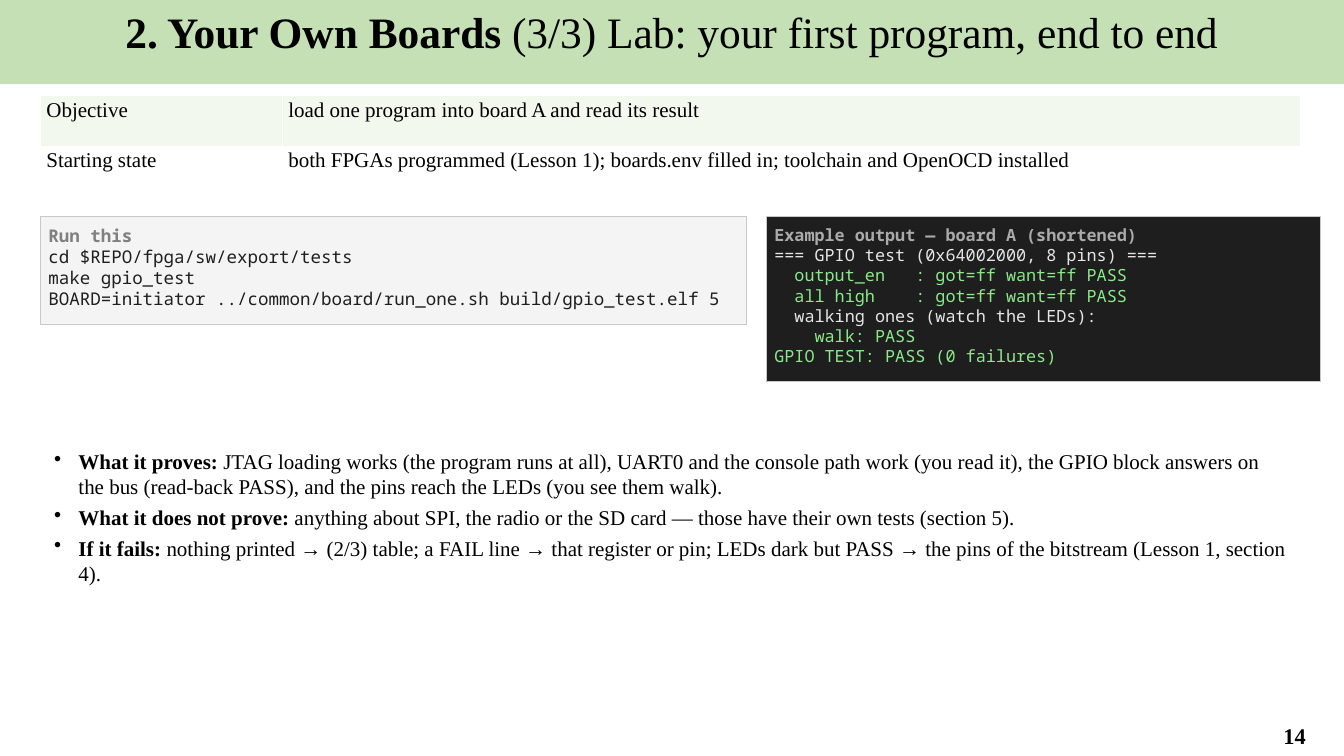
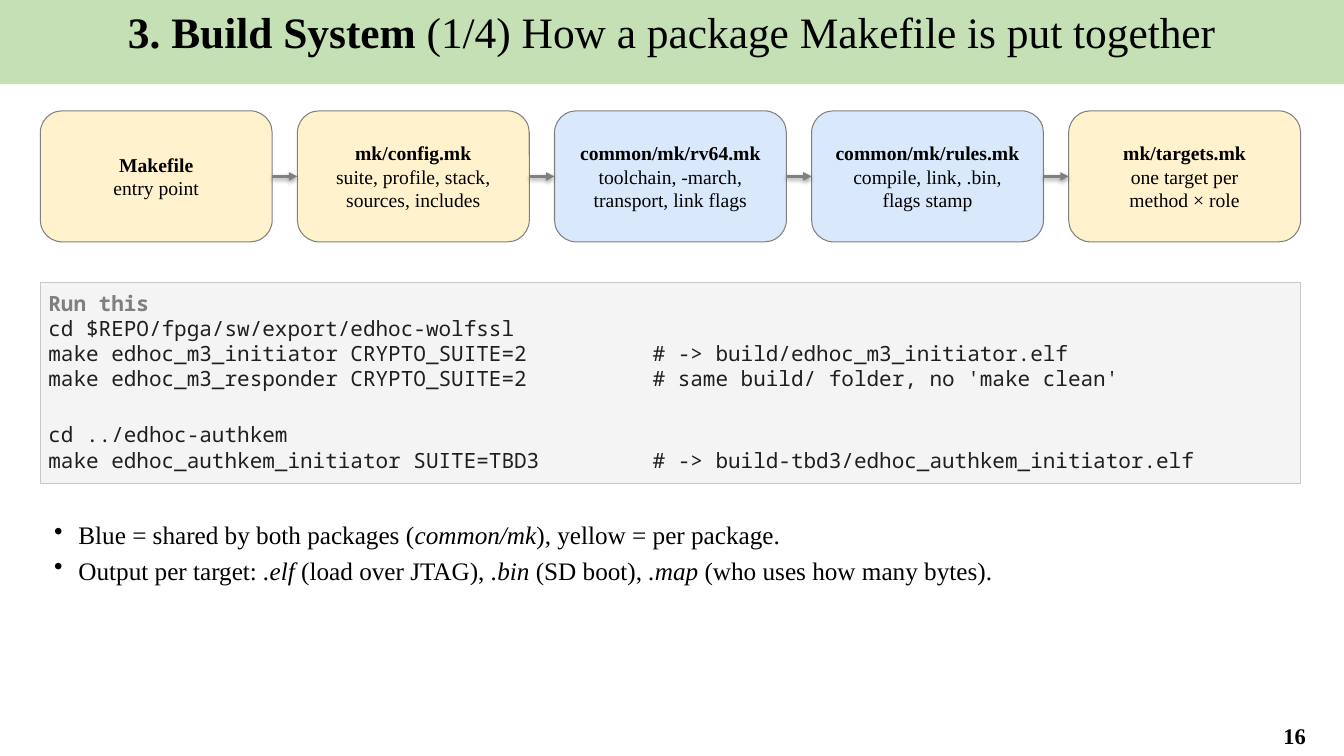
from itertools import pairwise

from lxml import etree
from pptx import Presentation
from pptx.dml.color import RGBColor
from pptx.enum.shapes import MSO_CONNECTOR as CONNECTOR, MSO_SHAPE as SHAPE
from pptx.enum.text import MSO_ANCHOR as ANCHOR, MSO_AUTO_SIZE as AUTO_SIZE, PP_ALIGN as ALIGN
from pptx.oxml.ns import qn
from pptx.util import Inches, Pt

BLACK = RGBColor(0x00, 0x00, 0x00)
WHITE = RGBColor(0xFF, 0xFF, 0xFF)
GREY = RGBColor(0x80, 0x80, 0x80)
BAND_GREEN = RGBColor(0xC5, 0xE0, 0xB4)
ROW_GREEN = RGBColor(0xF2, 0xF8, 0xEE)
PACKAGE_YELLOW = RGBColor(0xFF, 0xF2, 0xCC)
SHARED_BLUE = RGBColor(0xDA, 0xE8, 0xFC)
CODE_BORDER = RGBColor(0xC8, 0xC8, 0xC8)
CODE_PAPER = RGBColor(0xF4, 0xF4, 0xF4)
CODE_INK = RGBColor(0x1F, 0x1F, 0x1F)
TERMINAL = RGBColor(0x1E, 0x1E, 0x1E)
TERMINAL_HEAD = RGBColor(0xAA, 0xAA, 0xAA)
TERMINAL_INK = RGBColor(0xE6, 0xE6, 0xE6)
PASS_GREEN = RGBColor(0x8B, 0xE9, 0x8B)

SERIF, MONO = "Times New Roman", "Noto Sans Mono"
SLIDE_W, SLIDE_H = 13.33, 7.5
LEFT, CONTENT_W = 0.4, 12.5
BOLD, ITALIC = {"bold": True}, {"italic": True}


def inches(*lengths):
    return [Inches(length) for length in lengths]


def add_run(paragraph, text, size, color=BLACK, name=SERIF, **style):
    run = paragraph.add_run()
    run.text = text
    run.font.color.rgb = color
    values = {"size": Pt(size), "name": name, "bold": False, "italic": False} | style
    for attribute, value in values.items():
        setattr(run.font, attribute, value)


def paragraphs(frame, items):
    """Pair each item with a paragraph, using the frame's first one first."""
    for index, item in enumerate(items):
        yield frame.paragraphs[0] if index == 0 else frame.add_paragraph(), item


def set_frame(frame, anchor, margins, wrap=True):
    frame.word_wrap = wrap
    frame.vertical_anchor = anchor
    for side, margin in zip(("left", "top", "right", "bottom"), margins):
        setattr(frame, f"margin_{side}", Inches(margin))


def add_panel(slide, kind, box, fill, border):
    panel = slide.shapes.add_shape(kind, *inches(*box))
    panel.shadow.inherit = False
    panel.fill.solid()
    panel.fill.fore_color.rgb = fill
    panel.line.color.rgb = border
    panel.line.width = Pt(0.75)
    return panel


def add_titled_slide(deck, section, topic, number):
    slide = deck.slides.add_slide(deck.slide_layouts[5])
    title = slide.shapes.title
    title.left, title.top, title.width, title.height = inches(-0.01, 0, SLIDE_W + 0.01, 0.71)
    title.fill.solid()
    title.fill.fore_color.rgb = BAND_GREEN
    set_frame(title.text_frame, ANCHOR.TOP, (0.1, 0.05, 0.1, 0.05))
    title.text_frame.auto_size = AUTO_SIZE.SHAPE_TO_FIT_TEXT
    heading = title.text_frame.paragraphs[0]
    heading.alignment = ALIGN.CENTER
    add_run(heading, section + " ", 31, bold=True)
    add_run(heading, topic, 31)

    page = slide.shapes.add_textbox(*inches(12.35, 7.1, 0.98, 0.39)).text_frame
    set_frame(page, ANCHOR.MIDDLE, (0.1, 0.05, 0.1, 0.05))
    page.paragraphs[0].alignment = ALIGN.CENTER
    add_run(page.paragraphs[0], str(number), 16, bold=True)
    return slide


def add_facts_table(slide, box, label_width, facts):
    table = slide.shapes.add_table(len(facts), 2, *inches(*box)).table
    for column, width in zip(table.columns, (label_width, box[2] - label_width)):
        column.width = Inches(width)
    for row, fact in enumerate(facts):
        for column, text in enumerate(fact):
            cell = table.cell(row, column)
            cell.fill.solid()
            cell.fill.fore_color.rgb = WHITE if row % 2 else ROW_GREEN
            cell.margin_left = cell.margin_right = Inches(0.06)
            cell.margin_top = cell.margin_bottom = Inches(0.03)
            add_run(cell.text_frame.paragraphs[0], text, 15)


def add_code(slide, box, size, heading, lines, fill=CODE_PAPER, heading_color=GREY):
    """Place a listing; each line is (text, colour, points of space before)."""
    frame = add_panel(slide, SHAPE.RECTANGLE, box, fill, CODE_BORDER).text_frame
    set_frame(frame, ANCHOR.TOP, (0.08,) * 4, wrap=False)
    all_lines = [(heading, heading_color, 0), *lines]
    for index, (paragraph, (text, color, gap)) in enumerate(paragraphs(frame, all_lines)):
        paragraph.alignment = ALIGN.LEFT
        if gap:
            paragraph.space_before = Pt(gap)
        add_run(paragraph, text, size, color, MONO, bold=index == 0)


def add_bullets(slide, box, size, items):
    """Place bullets; each item is a list of (text, style) runs."""
    frame = slide.shapes.add_textbox(*inches(*box)).text_frame
    frame.word_wrap = True
    frame.auto_size = AUTO_SIZE.SHAPE_TO_FIT_TEXT
    for paragraph, runs in paragraphs(frame, items):
        properties = paragraph._p.get_or_add_pPr()
        properties.set("marL", str(Inches(0.28)))
        properties.set("indent", str(Inches(-0.24)))
        etree.SubElement(properties, qn("a:buChar"), char="•")
        paragraph.space_after = Pt(4)
        for text, style in runs:
            add_run(paragraph, text, size, **style)


def add_flow(slide, box, gap, steps):
    """Place equal rounded steps across the box, joined by arrows."""
    left, top, width, height = box
    step_width = (width - gap * (len(steps) - 1)) / len(steps)
    placed = []
    for index, (fill, *lines) in enumerate(steps):
        step_box = (left + index * (step_width + gap), top, step_width, height)
        step = add_panel(slide, SHAPE.ROUNDED_RECTANGLE, step_box, fill, GREY)
        set_frame(step.text_frame, ANCHOR.MIDDLE, (0.04,) * 4)
        for row, (paragraph, text) in enumerate(paragraphs(step.text_frame, lines)):
            paragraph.alignment = ALIGN.CENTER
            add_run(paragraph, text, 14, bold=row == 0)
        placed.append(step)
    for source, target in pairwise(placed):
        arrow = slide.shapes.add_connector(CONNECTOR.STRAIGHT, 0, 0, 0, 0)
        arrow.begin_connect(source, 3)
        arrow.end_connect(target, 1)
        arrow.line.color.rgb = GREY
        arrow.line.width = Pt(2)
        etree.SubElement(arrow.line._get_or_add_ln(), qn("a:tailEnd"), type="triangle")


def build_lab_slide(deck):
    slide = add_titled_slide(deck, "2. Your Own Boards",
                             "(3/3) Lab: your first program, end to end", 14)
    add_facts_table(slide, (LEFT, 0.95, CONTENT_W, 1), 2.4, [
        ("Objective", "load one program into board A and read its result"),
        ("Starting state", "both FPGAs programmed (Lesson 1); boards.env filled in; "
                           "toolchain and OpenOCD installed"),
    ])
    add_code(slide, (LEFT, 2.15, 7, 1.07), 12.5, "Run this", [
        ("cd $REPO/fpga/sw/export/tests", CODE_INK, 0),
        ("make gpio_test", CODE_INK, 0),
        ("BOARD=initiator ../common/board/run_one.sh build/gpio_test.elf 5", CODE_INK, 0),
    ])
    add_code(slide, (7.6, 2.15, 5.5, 1.64), 12, "Example output — board A (shortened)", [
        ("=== GPIO test (0x64002000, 8 pins) ===", TERMINAL_INK, 0),
        ("  output_en   : got=ff want=ff PASS", PASS_GREEN, 0),
        ("  all high    : got=ff want=ff PASS", PASS_GREEN, 0),
        ("  walking ones (watch the LEDs):", TERMINAL_INK, 0),
        ("    walk: PASS", PASS_GREEN, 0),
        ("GPIO TEST: PASS (0 failures)", PASS_GREEN, 0),
    ], TERMINAL, TERMINAL_HEAD)
    add_bullets(slide, (LEFT, 4.4, CONTENT_W, 2.6), 15, [
        [("What it proves:", BOLD),
         (" JTAG loading works (the program runs at all), UART0 and the console path work "
          "(you read it), the GPIO block answers on the bus (read-back PASS), and the pins "
          "reach the LEDs (you see them walk).", {})],
        [("What it does not prove:", BOLD),
         (" anything about SPI, the radio or the SD card — those have their own tests "
          "(section 5).", {})],
        [("If it fails:", BOLD),
         (" nothing printed → (2/3) table; a FAIL line → that register or pin; LEDs dark "
          "but PASS → the pins of the bitstream (Lesson 1, section 4).", {})],
    ])


def build_makefile_slide(deck):
    slide = add_titled_slide(deck, "3. Build System",
                             "(1/4) How a package Makefile is put together", 16)
    add_flow(slide, (LEFT, 1.1, CONTENT_W, 1.3), 0.25, [
        (PACKAGE_YELLOW, "Makefile", "entry point"),
        (PACKAGE_YELLOW, "mk/config.mk", "suite, profile, stack,", "sources, includes"),
        (SHARED_BLUE, "common/mk/rv64.mk", "toolchain, -march,", "transport, link flags"),
        (SHARED_BLUE, "common/mk/rules.mk", "compile, link, .bin,", "flags stamp"),
        (PACKAGE_YELLOW, "mk/targets.mk", "one target per", "method × role"),
    ])
    add_code(slide, (LEFT, 2.8, CONTENT_W, 2), 15, "Run this", [
        ("cd $REPO/fpga/sw/export/edhoc-wolfssl", CODE_INK, 0),
        ("make edhoc_m3_initiator CRYPTO_SUITE=2          # -> build/edhoc_m3_initiator.elf",
         CODE_INK, 0),
        ("make edhoc_m3_responder CRYPTO_SUITE=2          # same build/ folder, no 'make clean'",
         CODE_INK, 0),
        ("cd ../edhoc-authkem", CODE_INK, 22),
        ("make edhoc_authkem_initiator SUITE=TBD3         "
         "# -> build-tbd3/edhoc_authkem_initiator.elf", CODE_INK, 0),
    ])
    add_bullets(slide, (LEFT, 5.1, CONTENT_W, 1.6), 18, [
        [("Blue = shared by both packages (", {}), ("common/mk", ITALIC),
         ("), yellow = per package.", {})],
        [("Output per target: ", {}), (".elf", ITALIC), (" (load over JTAG), ", {}),
         (".bin", ITALIC), (" (SD boot), ", {}), (".map", ITALIC),
         (" (who uses how many bytes).", {})],
    ])


def main():
    deck = Presentation()
    deck.slide_width, deck.slide_height = inches(SLIDE_W, SLIDE_H)
    build_lab_slide(deck)
    build_makefile_slide(deck)
    deck.save("out.pptx")


if __name__ == "__main__":
    main()
